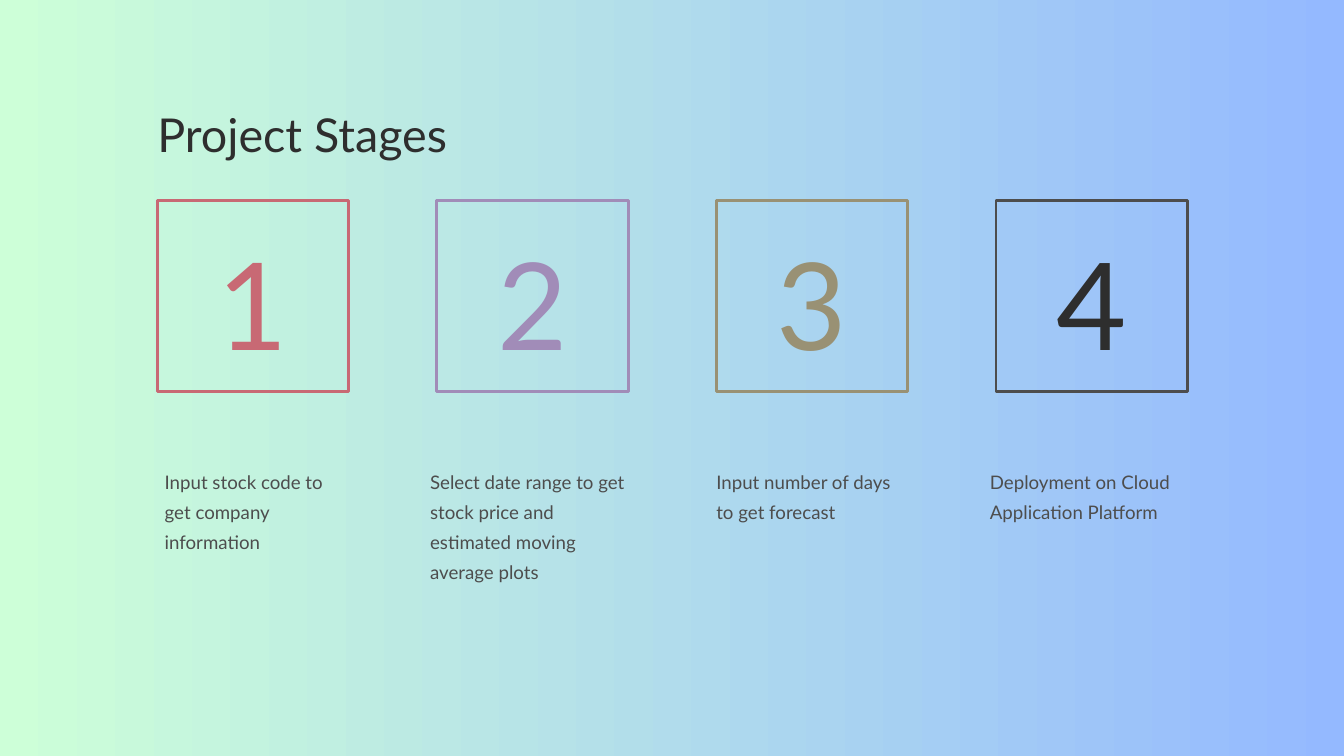
from pptx import Presentation
from pptx.dml.color import RGBColor
from pptx.enum.shapes import MSO_SHAPE as Shape
from pptx.enum.text import MSO_ANCHOR as Anchor, MSO_AUTO_SIZE as Auto, PP_ALIGN as Align
from pptx.util import Inches, Pt

FONT = "Lato"
DARK, GRAY = "2E2E2E", "4D4D4D"
LEFT, STEP, SIDE = 2.34, 4.16, 2.85
BOX_TOP, NUM_TOP, NOTE_TOP = 2.98, 3.05, 6.9

STAGES = [
    ("C86974", "C86974", 0.11, 2.62, 1.28, "Input stock code to get company information"),
    ("A18CB8", "A18CB8", -0.1, 3.03, 1.72,
     "Select date range to get stock price and estimated moving average plots"),
    ("999174", "999174", 0, 2.62, 0.85, "Input number of days to get forecast"),
    (GRAY, DARK, -0.09, 3.01, 0.85, "Deployment on Cloud Application Platform"),
]


def rgb(code):
    """Turn a hex string into a colour."""
    return RGBColor.from_string(code)


def span(*sizes):
    """Turn inches into lengths."""
    return [Inches(size) for size in sizes]


def paint(slide, first, last):
    """Fill the background from left to right."""
    fill = slide.background.fill
    fill.gradient()
    fill.gradient_angle = 0
    for stop, code in zip(fill.gradient_stops, (first, last)):
        stop.color.rgb = rgb(code)


def write(shape, text, size, lead, code, align=Align.LEFT):
    """Set one line of styled text without margins."""
    frame = shape.text_frame
    frame.word_wrap = True
    frame.auto_size = Auto.SHAPE_TO_FIT_TEXT
    frame.vertical_anchor = Anchor.TOP
    frame.margin_left = frame.margin_right = 0
    frame.margin_top = frame.margin_bottom = 0
    para = frame.paragraphs[0]
    para.alignment = align
    para.line_spacing = Pt(lead)
    para.space_before = Pt(0)
    run = para.add_run()
    run.text = text
    run.font.name = FONT
    run.font.size = Pt(size)
    run.font.color.rgb = rgb(code)


def head(slide, text):
    """Place the slide title."""
    title = slide.shapes.title
    title.left, title.top, title.width, title.height = span(LEFT, 1.43, 4.61, 0.94)
    write(title, text, 50, 70, DARK)


def frame_box(slide, x, code):
    """Draw an open square."""
    box = slide.shapes.add_shape(Shape.RECTANGLE, *span(x, BOX_TOP, SIDE, SIDE))
    box.shadow.inherit = False
    box.fill.background()
    box.line.color.rgb = rgb(code)
    box.line.width = Pt(3)


def stage(slide, index, edge, ink, shift, width, height, note):
    """Draw a numbered square with its note below."""
    x = LEFT + index * STEP
    frame_box(slide, x, edge)
    digit = slide.shapes.add_textbox(*span(x, NUM_TOP, SIDE, 2.43))
    write(digit, str(index + 1), 130, 182, ink, Align.CENTER)
    label = slide.shapes.add_textbox(*span(x + shift, NOTE_TOP, width, height))
    write(label, note, 20, 32, GRAY)


def main():
    """Build and save the slide."""
    deck = Presentation()
    deck.slide_width, deck.slide_height = span(20, 11.25)
    slide = deck.slides.add_slide(deck.slide_layouts[5])
    paint(slide, "CDFFD8", "94B9FF")
    head(slide, "Project Stages")
    for index, parts in enumerate(STAGES):
        stage(slide, index, *parts)
    deck.save("out.pptx")


if __name__ == "__main__":
    main()
